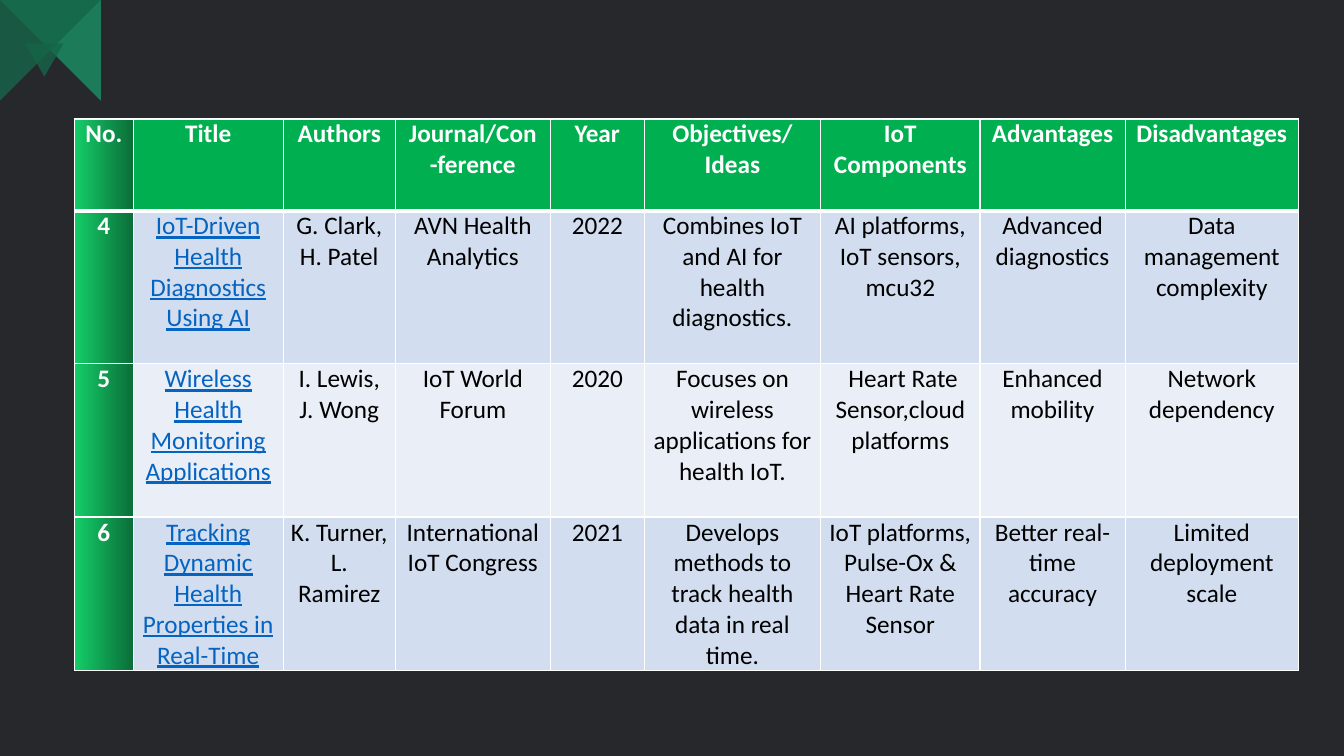
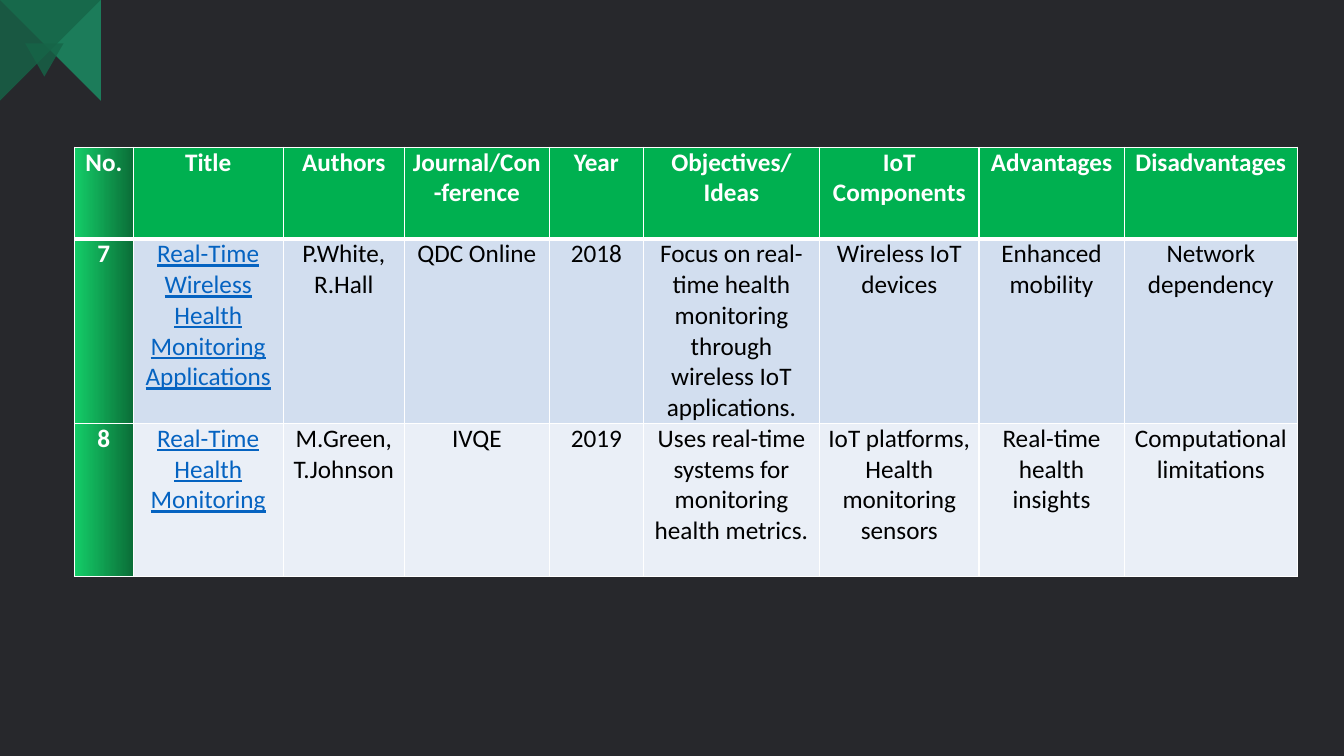
from lxml import etree
from pptx import Presentation
from pptx.dml.color import RGBColor
from pptx.enum.shapes import MSO_SHAPE
from pptx.enum.text import PP_ALIGN
from pptx.oxml.ns import qn
from pptx.util import Inches, Pt

TRIANGLE = MSO_SHAPE.ISOSCELES_TRIANGLE
CENTER = PP_ALIGN.CENTER
FONT = "Calibri"
BLANK_LAYOUT = 6

COLORS = {
    "background": "27282C",
    "corner": "1C7C5A",
    "corner_dark": "166548",
    "header": "00B050",
    "number_from": "14CD68",
    "number_to": "0B6E38",
    "band_odd": "D2DEEF",
    "band_even": "EAEFF7",
    "title_text": "0563C1",
    "text": "000000",
    "white": "FFFFFF",
}

HEADERS = ["No.", "Title", "Authors", "Journal/Con\n-ference", "Year",
           "Objectives/Ideas", "IoT Components", "Advantages", "Disadvantages"]
HEADER_HEIGHT = 0.91
ROW_HEIGHT = 1.52

SURVEYS = [
    {
        "left": 0.74, "top": 1.18,
        "widths": [0.58, 1.49, 1.11, 1.54, 0.93, 1.75, 1.58, 1.44, 1.72],
        "rows": [
            ["4", "IoT-Driven Health Diagnostics Using AI", "G. Clark, H. Patel",
             "AVN Health Analytics", "2022",
             "Combines IoT and AI for health diagnostics.",
             "AI platforms, IoT sensors,\nmcu32", "Advanced diagnostics",
             "Data management complexity"],
            ["5", "Wireless Health Monitoring Applications", "I. Lewis, J. Wong",
             "IoT World Forum", "2020",
             "Focuses on wireless applications for health IoT.",
             " Heart Rate Sensor,cloud platforms", "Enhanced mobility",
             "Network dependency"],
            ["6", "Tracking Dynamic Health Properties in Real-Time",
             "K. Turner, L. Ramirez", "International IoT Congress", "2021",
             "Develops methods to track health data in real time.",
             "IoT platforms,\nPulse-Ox & Heart Rate Sensor",
             "Better real-time accuracy", "Limited deployment scale"],
        ],
    },
    {
        "left": 0.74, "top": 1.46,
        "widths": [0.58, 1.49, 1.2, 1.44, 0.93, 1.75, 1.58, 1.44, 1.72],
        "rows": [
            ["7", "Real-Time Wireless Health Monitoring Applications",
             "P.White,\nR.Hall", "QDC Online", "2018",
             "Focus on real-time health monitoring through wireless IoT applications.",
             "Wireless IoT devices", "Enhanced mobility", "Network dependency"],
            ["8", "Real-Time Health Monitoring", "M.Green,\nT.Johnson", "IVQE",
             "2019", "Uses real-time systems for monitoring health metrics.",
             "IoT platforms,\nHealth monitoring\nsensors",
             "Real-time health insights", "Computational limitations"],
        ],
    },
]


def rgb(name):
    return RGBColor.from_string(COLORS[name])


def paint(shape, color, opacity=100):
    shape.shadow.inherit = False
    shape.line.fill.background()
    shape.fill.solid()
    shape.fill.fore_color.rgb = rgb(color)
    if opacity < 100:
        clr = shape.element.spPr.find(qn("a:solidFill"))[0]
        etree.SubElement(clr, qn("a:alpha")).set("val", str(opacity * 1000))


def add_outline(s, left, top, points):
    corners = [(left + x, top + y) for x, y in points]
    builder = s.shapes.build_freeform(*corners[0], scale=Inches(1))
    builder.add_line_segments(corners[1:], close=True)
    return builder.convert_to_shape()


def add_corner(s, left, top):
    large = add_outline(s, left, top, [(0, 0), (1.27, 0), (0.6, 1.16), (0, 0.14)])
    small = s.shapes.add_shape(TRIANGLE, Inches(left + 0.25), Inches(top + 0.45),
                               Inches(0.38), Inches(0.33))
    small.rotation = 180
    medium = add_outline(s, left, top + 0.11,
                         [(0, 0), (0.69, 0), (0.21, 0.82), (0, 0.47)])
    paint(large, "corner")
    paint(small, "corner_dark", 80)
    paint(medium, "corner_dark", 80)
    return [large, small, medium]


def style_layout(layout, s):
    for ph in list(layout.placeholders):
        ph.element.getparent().remove(ph.element)
    fill = layout.background.fill
    fill.solid()
    fill.fore_color.rgb = rgb("background")
    for shape in add_corner(s, 0, -0.02):
        layout.shapes.element.append(shape.element)


def set_borders(cell, top, bottom):
    tc_pr = cell._tc.get_or_add_tcPr()
    for side, width in (("L", 1), ("R", 1), ("T", top), ("B", bottom)):
        ln = etree.SubElement(tc_pr, qn(f"a:ln{side}"), w=str(Pt(width)))
        fill = etree.SubElement(ln, qn("a:solidFill"))
        etree.SubElement(fill, qn("a:srgbClr"), val=COLORS["white"])


def fill_cell(cell, row, col):
    if col == 0:
        cell.fill.gradient()
        cell.fill.gradient_angle = 0
        for stop, name in zip(cell.fill.gradient_stops, ("number_from", "number_to")):
            stop.color.rgb = rgb(name)
        return
    cell.fill.solid()
    band = "band_odd" if row % 2 else "band_even"
    cell.fill.fore_color.rgb = rgb(band if row else "header")


def write_cell(cell, text, row, col):
    cell.margin_left = cell.margin_right = Inches(0.07)
    cell.margin_top = cell.margin_bottom = 0
    strong = row == 0 or col == 0
    is_title = col == 1 and not strong
    color = "white" if strong else "title_text" if is_title else "text"
    tf = cell.text_frame
    for i, line in enumerate(text.split("\n")):
        p = tf.add_paragraph() if i else tf.paragraphs[0]
        p.alignment = CENTER
        r = p.add_run()
        r.text = line
        r.font.name = FONT
        r.font.size = Pt(18)
        r.font.bold = strong
        r.font.underline = is_title
        r.font.color.rgb = rgb(color)


def add_survey_table(s, left, top, widths, rows):
    lines = [HEADERS] + rows
    heights = [HEADER_HEIGHT] + [ROW_HEIGHT] * len(rows)
    table = s.shapes.add_table(len(lines), len(widths), Inches(left), Inches(top),
                               Inches(sum(widths)), Inches(sum(heights))).table
    for column, width in zip(table.columns, widths):
        column.width = Inches(width)
    for row, (line, height) in enumerate(zip(lines, heights)):
        table.rows[row].height = Inches(height)
        for col, text in enumerate(line):
            cell = table.cell(row, col)
            set_borders(cell, 3 if row == 1 else 1, 3 if row == 0 else 1)
            fill_cell(cell, row, col)
            write_cell(cell, text, row, col)


def main():
    prs = Presentation()
    prs.slide_width = Inches(13.33)
    prs.slide_height = Inches(7.5)
    layout = prs.slide_layouts[BLANK_LAYOUT]
    slides = [prs.slides.add_slide(layout) for _ in SURVEYS]
    style_layout(layout, slides[0])
    for s, survey in zip(slides, SURVEYS):
        add_survey_table(s, **survey)
    prs.save("out.pptx")


if __name__ == "__main__":
    main()
